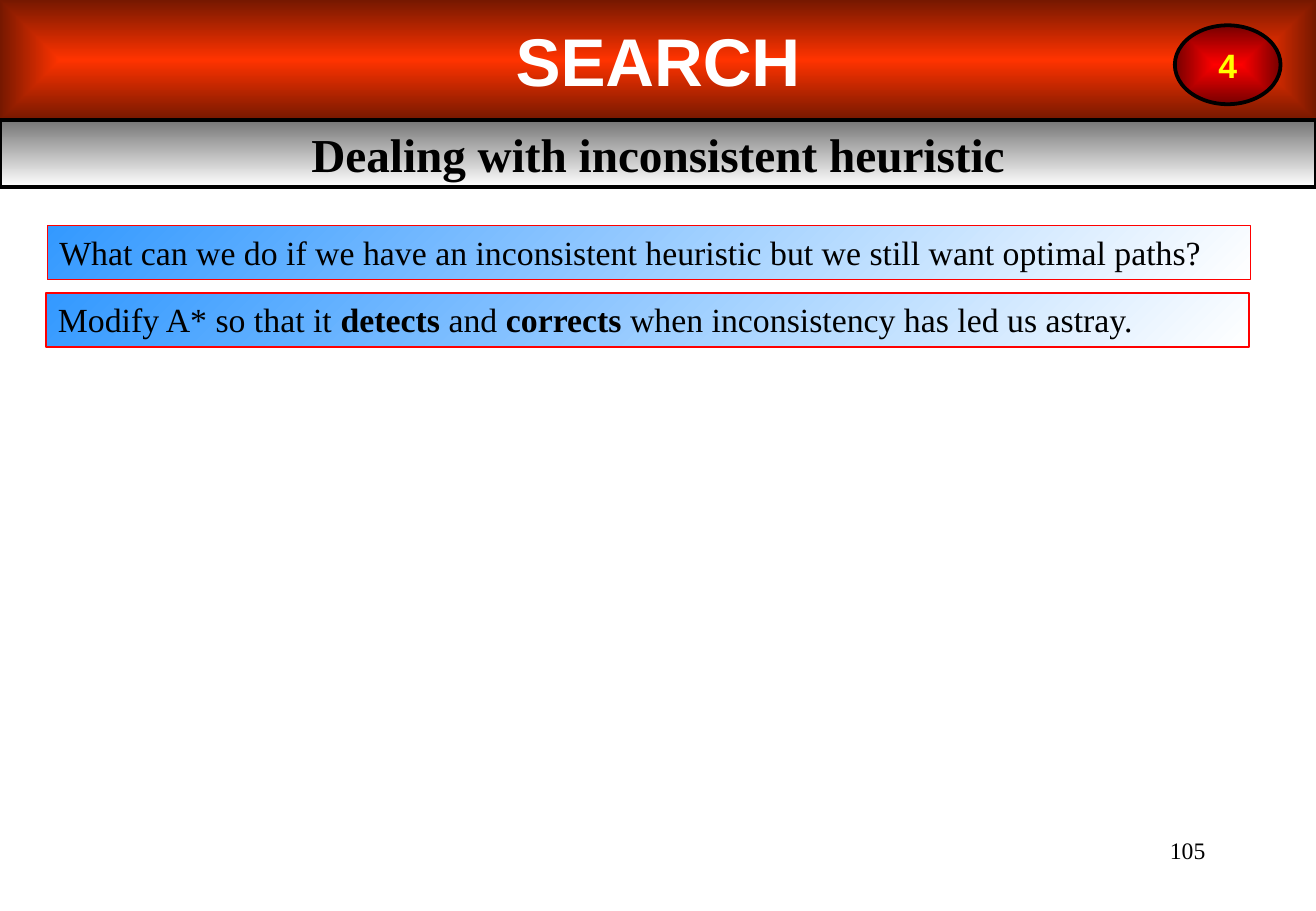
from lxml import etree
from pptx import Presentation
from pptx.dml.color import RGBColor
from pptx.enum.shapes import MSO_SHAPE as Shape
from pptx.enum.text import MSO_ANCHOR as Anchor, MSO_AUTO_SIZE as AutoSize, PP_ALIGN as Align
from pptx.oxml.ns import qn
from pptx.util import Cm, Pt

BLACK = RGBColor(0x00, 0x00, 0x00)
WHITE = RGBColor(0xFF, 0xFF, 0xFF)
GREY = RGBColor(0x76, 0x76, 0x76)
ORANGE = RGBColor(0xFF, 0x33, 0x00)
RUST = RGBColor(0x76, 0x18, 0x00)
RED = RGBColor(0xFF, 0x00, 0x00)
MAROON = RGBColor(0x76, 0x00, 0x00)
YELLOW = RGBColor(0xFF, 0xFF, 0x00)
BLUE = RGBColor(0x33, 0x99, 0xFF)

SANS, SERIF = "Arial", "Times New Roman"
WIDTH, HEIGHT = 27.51, 19.05
BANNER_HEIGHT = 2.51


class LectureSlide:
    """Holds the deck, its current page and the shared text style."""

    def __init__(self):
        self.deck = Presentation()
        self.deck.slide_width, self.deck.slide_height = Cm(WIDTH), Cm(HEIGHT)
        self.page = self.deck.slides.add_slide(self.deck.slide_layouts[5])

    def place(self, box, left, top, width, height):
        box.left, box.top, box.width, box.height = map(Cm, (left, top, width, height))

    def gradient(self, box, start, end, angle=None):
        """Fill linearly at an angle, or outwards from the centre without one."""
        box.fill.gradient()
        for stop, colour in zip(box.fill.gradient_stops, (start, end)):
            stop.color.rgb = colour
        if angle is not None:
            box.fill.gradient_angle = angle
            return
        linear = next(box.element.iter(qn("a:lin")))
        radial = etree.Element(qn("a:path"), path="shape")
        etree.SubElement(radial, qn("a:fillToRect"), l="50000", t="50000", r="50000", b="50000")
        linear.getparent().replace(linear, radial)

    def outline(self, box, colour, width):
        box.line.color.rgb = colour
        box.line.width = Pt(width)

    def set_text(self, box, parts, size, font=SERIF, colour=BLACK, bold=False,
                 align=Align.CENTER, anchor=Anchor.MIDDLE, wrap=True):
        """Set parts as runs; every second part is emphasised."""
        frame = box.text_frame
        frame.word_wrap, frame.auto_size = wrap, AutoSize.NONE
        frame.vertical_anchor = anchor
        para = frame.paragraphs[0]
        para.alignment = align
        for index, part in enumerate(parts):
            span = para.add_run()
            span.text = part
            span.font.name, span.font.size = font, Pt(size)
            span.font.bold = bold or index % 2 == 1
            span.font.color.rgb = colour

    def shape(self, kind, left, top, width, height):
        box = self.page.shapes.add_shape(kind, *map(Cm, (left, top, width, height)))
        box.shadow.inherit = False
        box.line.fill.background()
        return box

    def title(self, text):
        box = self.page.shapes.title
        self.place(box, 0, BANNER_HEIGHT, WIDTH, 1.4)
        self.gradient(box, GREY, WHITE, 270)
        self.outline(box, BLACK, 2.25)
        self.set_text(box, [text], 28, bold=True)
        # Keep the border above the banner
        box.element.getparent().append(box.element)

    def banner(self, text):
        box = self.shape(Shape.RECTANGLE, 0, 0, WIDTH, BANNER_HEIGHT)
        self.gradient(box, ORANGE, RUST)
        self.set_text(box, [text], 40, SANS, WHITE, True)

    def badge(self, text):
        box = self.shape(Shape.OVAL, 24.56, 0.53, 2.21, 1.65)
        self.gradient(box, RED, MAROON)
        self.outline(box, BLACK, 2.25)
        self.set_text(box, [text], 20, SANS, YELLOW, True, wrap=False)

    def statement(self, parts, left, top, line_width):
        box = self.shape(Shape.RECTANGLE, left, top, 25.15, 1.13)
        self.gradient(box, BLUE, WHITE, 315)
        self.outline(box, RED, line_width)
        self.set_text(box, parts, 20, align=Align.LEFT, anchor=Anchor.TOP)

    def page_number(self, text):
        box = self.page.shapes.add_textbox(Cm(19.71), Cm(17.35), Cm(5.74), Cm(1.27))
        self.set_text(box, [text], 14, align=Align.RIGHT, anchor=Anchor.TOP)


def main():
    slide = LectureSlide()

    # Heading
    slide.banner("SEARCH")
    slide.title("Dealing with inconsistent heuristic")
    slide.badge("4")

    # Question and answer
    slide.statement(["What can we do if we have an inconsistent heuristic "
                     "but we still want optimal paths?"], 0.99, 4.72, 0.75)
    slide.statement(["Modify A* so that it ", "detects", " and ", "corrects",
                     " when inconsistency has led us astray."], 0.96, 6.13, 1.5)

    # Footer
    slide.page_number("105")
    slide.deck.save("out.pptx")


if __name__ == "__main__":
    main()
